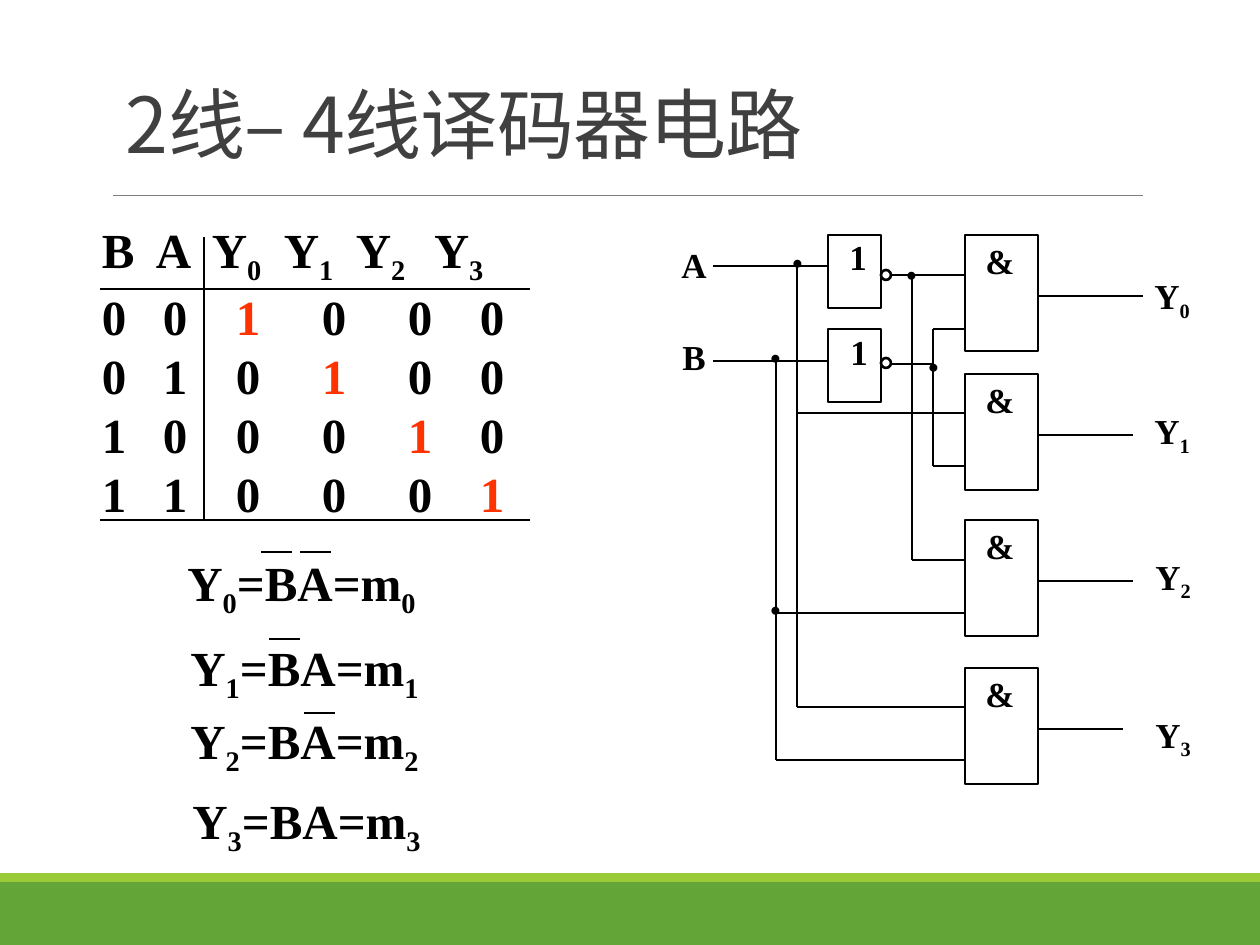
from itertools import pairwise

from lxml.etree import SubElement
from pptx import Presentation
from pptx.dml.color import RGBColor
from pptx.enum.shapes import MSO_CONNECTOR as Conn, MSO_SHAPE as Shape
from pptx.enum.text import MSO_ANCHOR as Anchor
from pptx.oxml.ns import qn
from pptx.util import Pt

PX = 914400 / 126
SERIF, CJK = "Times New Roman", "Noto Sans CJK SC"
BLACK, RED = "000000", "FF3300"

# Content; "_" comes before a subscript
TITLE = "2线– 4线译码器电路"
HEADER = ["B", "A", "Y_0", "Y_1", "Y_2", "Y_3"]
ROWS = ["001000", "010100", "100010", "110001"]
FORMULAS = [  # text, left, top, bars as (start, y)
    ("Y_0=BA=m_0", 175, 546, [(261, 552), (300, 552)]),
    ("Y_1=BA=m_1", 178, 631, [(269, 639)]),
    ("Y_2=BA=m_2", 178, 704, [(304, 713)]),
    ("Y_3=BA=m_3", 180, 784, []),
]
BAR_W = 31

# Truth table grid: column edges, then text insets of header and body cells
EDGES = [100, 154, 204, 272, 350, 434, 530]
HEAD_INSET = [2, 2, 8, 12, 6, 0]
BODY_INSET = [2, 9, 32, 50, 58, 46]
TABLE_TOP, HEAD_H, ROW_H = 225, 67, 59
RULES = [[(100, 289), (530, 289)], [(204, 237), (204, 520)],
         [(100, 520), (530, 520)]]

# Circuit
GATE_X, GATE_W, GATE_H = 965, 73, 116
GATES = [  # top, end of output wire, output label and its place
    (235, 1143, "Y_0", 1142, 268),
    (374, 1133, "Y_1", 1142, 403),
    (520, 1133, "Y_2", 1143, 549),
    (668, 1123, "Y_3", 1143, 707),
]
INV_X, INV_W, INV_H, BUBBLE = 828, 53, 73, 10
INVERTERS = [(235, 270, 837, 229), (329, 358, 838, 324)]  # top, bubble, label
INPUTS = [("A", 669, 237, 50), ("B", 670, 329, 49)]
BUS_B, BUS_A, BUS_NOT_A, BUS_NOT_B = 776, 797, 912, 933
IN_X, BUBBLE_OUT = 713, INV_X + INV_W + BUBBLE
WIRES = [
    [(IN_X, 266), (INV_X, 266)],
    [(IN_X, 361), (INV_X, 361)],
    [(BUBBLE_OUT, 275), (GATE_X, 275)],
    [(BUBBLE_OUT, 364), (BUS_NOT_B, 364)],
    [(GATE_X, 329), (BUS_NOT_B, 329), (BUS_NOT_B, 466), (GATE_X, 466)],
    [(BUS_NOT_A, 275), (BUS_NOT_A, 560), (GATE_X, 560)],
    [(BUS_A, 266), (BUS_A, 707), (GATE_X, 707)],
    [(BUS_A, 413), (GATE_X, 413)],
    [(BUS_B, 361), (BUS_B, 760), (GATE_X, 760)],
    [(BUS_B, 613), (GATE_X, 613)],
]
DOTS = [(779, 212), (757, 307), (893, 224), (915, 316), (757, 559)]


def px(*values):
    return [round(v * PX) for v in values]


def rgb(color):
    return RGBColor.from_string(color)


def style(font, color=BLACK, **values):
    for name, value in values.items():
        setattr(font, name, value)
    font.color.rgb = rgb(color)


def write(p, text, size, color=BLACK):
    """Write bold serif text, lowering each character after "_"."""
    head, *parts = text.split("_")
    pieces = [(head, False)]
    for part in parts:
        pieces += [(part[0], True), (part[1:], False)]
    for piece, lowered in pieces:
        if piece:
            r = p.add_run()
            r.text = piece
            style(r.font, color, name=SERIF, size=Pt(size), bold=True)
            if lowered:
                r.font._element.set("baseline", "-25000")


def add_text(text, x, y, w, h, size, wrap=False):
    tb = slide.shapes.add_textbox(*px(x, y, w, h))
    tb.text_frame.word_wrap = wrap
    write(tb.text_frame.paragraphs[0], text, size)


def add_shape(kind, x, y, w, h, fill=None):
    sp = slide.shapes.add_shape(kind, *px(x, y, w, h))
    sp.shadow.inherit = False
    if fill:
        sp.fill.solid()
        sp.fill.fore_color.rgb = rgb(fill)
        sp.line.fill.background()
    else:
        sp.fill.background()
        sp.line.color.rgb = rgb(BLACK)
        sp.line.width = Pt(1.5)


def add_wire(points, width=1.5, color=BLACK):
    for start, end in pairwise(points):
        cx = slide.shapes.add_connector(Conn.STRAIGHT, *px(*start, *end))
        cx.line.color.rgb = rgb(color)
        cx.line.width = Pt(width)
        SubElement(cx._element.spPr, qn("a:effectLst"))


prs = Presentation()
prs.slide_width, prs.slide_height = px(1260, 945)
slide = prs.slides.add_slide(prs.slide_layouts[6])

# Footer bands and title rule
add_shape(Shape.RECTANGLE, 0, 882, 1260, 63, "63A537")
add_shape(Shape.RECTANGLE, 0, 873, 1260, 9, "99CB38")
add_wire([(113, 195), (1143, 195)], 0.5, "808080")

# Title
tf = slide.shapes.add_textbox(*px(113, 39, 1040, 136)).text_frame
tf.word_wrap = True
tf.vertical_anchor = Anchor.BOTTOM
p = tf.paragraphs[0]
p.line_spacing = 0.85
r = p.add_run()
r.text = TITLE
style(r.font, "404040", name=CJK, size=Pt(44))
r.font._element.set("spc", "-50")
SubElement(r.font._element, qn("a:ea"), typeface=CJK)

# Truth table
table = slide.shapes.add_table(
    len(ROWS) + 1, len(HEADER),
    *px(EDGES[0], TABLE_TOP, EDGES[-1] - EDGES[0], HEAD_H + ROW_H * len(ROWS))
).table
table.first_row = table.horz_banding = False
for col, (left, right) in zip(table.columns, pairwise(EDGES)):
    col.width = px(right - left)[0]
for i, values in enumerate([HEADER, *ROWS]):
    table.rows[i].height = px(ROW_H if i else HEAD_H)[0]
    for j, value in enumerate(values):
        cell = table.cell(i, j)
        cell.fill.background()
        inset = (BODY_INSET if i else HEAD_INSET)[j]
        cell.margin_left = px(inset)[0]
        cell.margin_right = cell.margin_top = cell.margin_bottom = 0
        active = i and j == i + 1
        write(cell.text_frame.paragraphs[0], value, 28, RED if active else BLACK)
for rule in RULES:
    add_wire(rule, 0.75)

# Output formulas with negation bars
for text, x, y, bars in FORMULAS:
    add_text(text, x, y, 260, 72, 28)
    for bar_x, bar_y in bars:
        add_wire([(bar_x, bar_y), (bar_x + BAR_W, bar_y)], 0.75)

# AND gates and outputs
for top, end, label, label_x, label_y in GATES:
    add_shape(Shape.RECTANGLE, GATE_X, top, GATE_W, GATE_H)
    add_text("&", 973, top - 2, 54, 54, 20)
    add_wire([(GATE_X + GATE_W, top + 61), (end, top + 61)])
    add_text(label, label_x, label_y, 76, 54, 20, wrap=True)

# Inverters
for top, bubble_y, label_x, label_y in INVERTERS:
    add_shape(Shape.RECTANGLE, INV_X, top, INV_W, INV_H)
    add_shape(Shape.OVAL, INV_X + INV_W, bubble_y, BUBBLE, BUBBLE)
    add_text("1", label_x, label_y, 43, 54, 20)

# Inputs, wires and junction dots
for label, x, y, w in INPUTS:
    add_text(label, x, y, w, 54, 20)
for wire in WIRES:
    add_wire(wire)
for x, y in DOTS:
    add_text(".", x, y, 38, 72, 28)

prs.save("out.pptx")
